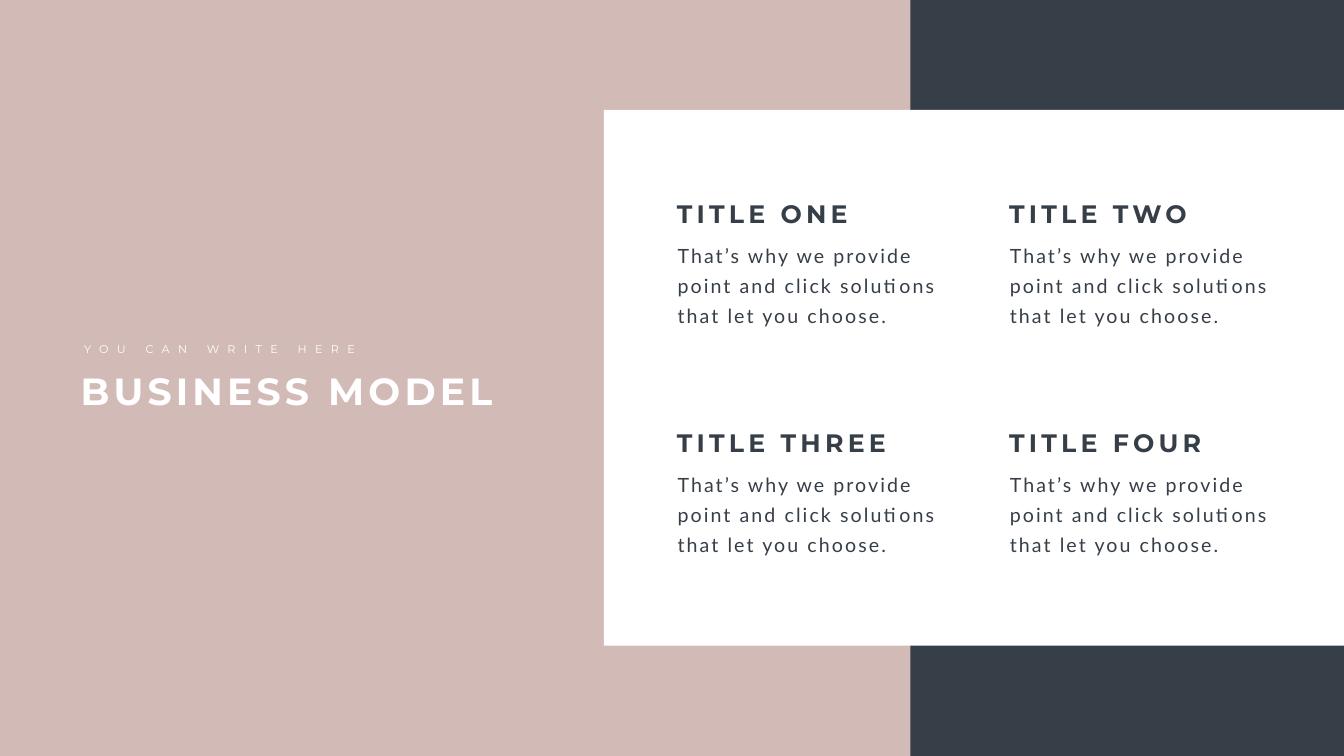
from lxml.etree import SubElement
from pptx import Presentation
from pptx.dml.color import RGBColor
from pptx.enum.shapes import MSO_SHAPE
from pptx.enum.text import MSO_AUTO_SIZE
from pptx.oxml.ns import qn
from pptx.util import Inches, Pt

SLATE = RGBColor(0x36, 0x3E, 0x48)
BLUSH = RGBColor(0xF9, 0xD9, 0xD3)
WHITE = RGBColor(0xFF, 0xFF, 0xFF)

HEADING_FONT = "Montserrat"
BODY_FONT = "Lato"
BODY = "That’s why we provide point and click solutions that let you choose."
TITLES = ["TITLE ONE", "TITLE TWO", "TITLE THREE", "TITLE FOUR"]

GRID_LEFT, GRID_TOP = 13.2, 3.88
COLUMN_STEP, ROW_STEP = 6.59, 4.54


class SlideBuilder:
    def __init__(self, slide):
        self.slide = slide

    def background(self, color):
        fill = self.slide.background.fill
        fill.solid()
        fill.fore_color.rgb = color

    def panel(self, x, y, w, h, color, opacity=100):
        sp = self.slide.shapes.add_shape(
            MSO_SHAPE.RECTANGLE, Inches(x), Inches(y), Inches(w), Inches(h))
        sp.shadow.inherit = False
        sp.line.fill.background()
        sp.fill.solid()
        sp.fill.fore_color.rgb = color
        if opacity < 100:
            clr = sp._element.spPr.find(qn("a:solidFill"))[0]
            SubElement(clr, qn("a:alpha")).set("val", str(opacity * 1000))

    def text(self, x, y, w, h, text, size, color, spacing, font=HEADING_FONT,
             bold=False, wrap=True, inset=(0.1, 0.05), line_spacing=None):
        """Add a text box; spacing is the letter spacing in points."""
        box = self.slide.shapes.add_textbox(
            Inches(x), Inches(y), Inches(w), Inches(h))
        tf = box.text_frame
        tf.word_wrap = wrap
        tf.auto_size = MSO_AUTO_SIZE.SHAPE_TO_FIT_TEXT
        tf.margin_left = tf.margin_right = Inches(inset[0])
        tf.margin_top = tf.margin_bottom = Inches(inset[1])
        p = tf.paragraphs[0]
        r = p.add_run()
        r.text = text
        r._r.get_or_add_rPr().set("spc", str(spacing * 100))
        if line_spacing:
            p.line_spacing = Pt(line_spacing)
        p.font.name = font
        p.font.size = Pt(size)
        p.font.bold = bold
        p.font.color.rgb = color

    def card(self, x, y, title):
        self.text(x, y + 0.71, 5.65, 1.99, BODY, 28, SLATE, 3, font=BODY_FONT,
                  inset=(0.24, 0.12), line_spacing=43)
        self.text(x + 0.13, y, 4.61, 0.71, title, 36, SLATE, 6, bold=True)


def main():
    prs = Presentation()
    prs.slide_width, prs.slide_height = Inches(26.66), Inches(15)
    s = SlideBuilder(prs.slides.add_slide(prs.slide_layouts[6]))

    s.background(SLATE)
    s.panel(0, 0, 18.06, 15, BLUSH, opacity=80)
    s.text(1.5, 7.25, 8.74, 1.01, "BUSINESS MODEL", 54, WHITE, 6, bold=True)
    s.text(1.57, 6.74, 5.78, 0.37, "YOU CAN WRITE HERE", 16, WHITE, 12,
           wrap=False)
    s.panel(11.98, 2.18, 14.68, 10.63, WHITE)
    for i, title in enumerate(TITLES):
        row, column = divmod(i, 2)
        s.card(GRID_LEFT + column * COLUMN_STEP, GRID_TOP + row * ROW_STEP,
               title)

    prs.save("out.pptx")


if __name__ == "__main__":
    main()
